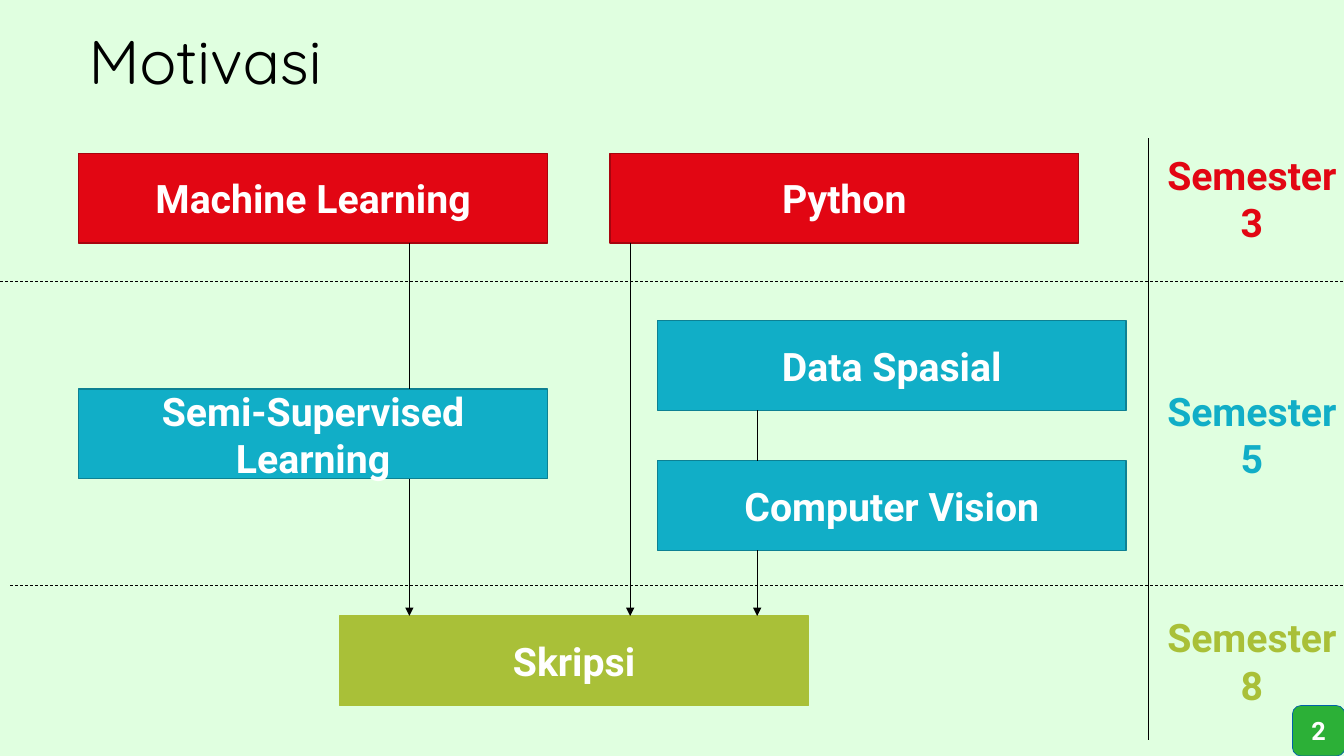
from dataclasses import dataclass

from lxml.etree import SubElement
from pptx import Presentation
from pptx.dml.color import RGBColor
from pptx.enum.dml import MSO_LINE_DASH_STYLE as Dash
from pptx.enum.shapes import MSO_CONNECTOR as Connector, MSO_SHAPE as Shape
from pptx.enum.text import MSO_ANCHOR as Anchor, PP_ALIGN as Align
from pptx.oxml.ns import qn
from pptx.util import Inches, Pt

WIDTH, HEIGHT = Inches(13.33), Inches(7.5)
BOX_WIDTH, BOX_HEIGHT = 34.88, 11.87
LEFT_EDGE, DIVIDER = 5.85, 85.45
SEMESTER_3, SEMESTER_5, THESIS_ROW = 20.27, 51.47, 81.47
SPATIAL_ROW, VISION_ROW = 42.4, 60.93


@dataclass(frozen=True)
class Theme:
    """Colours, fonts and type sizes of the slide."""
    background: str = "E0FFE0"
    ink: str = "000000"
    white: str = "FFFFFF"
    red: tuple = ("E20613", "A7040E")
    teal: tuple = ("11AEC7", "0D8193")
    olive: tuple = ("A9C038", "A9C038")
    badge: tuple = ("2CB037", "0062A9")
    heading_font: str = "Quicksand"
    body_font: str = "Roboto"
    title_size: int = 44
    body_size: int = 28
    badge_size: int = 18
    border: float = 1
    hairline: float = 0.5


THEME = Theme()


def col(share):
    """Turn a percentage of the slide width into a length."""
    return round(WIDTH * share / 100)


def row(share):
    """Turn a percentage of the slide height into a length."""
    return round(HEIGHT * share / 100)


def area(left, top, width, height):
    """Turn four percentages into a left, top, width and height."""
    return col(left), row(top), col(width), row(height)


def write(holder, words, color, size=THEME.body_size, font=THEME.body_font,
          bold=True, align=Align.CENTER):
    """Write one vertically centred paragraph into a shape."""
    frame = holder.text_frame
    frame.word_wrap = True
    frame.vertical_anchor = Anchor.MIDDLE
    frame.text = words
    paragraph = frame.paragraphs[0]
    paragraph.alignment = align
    style = paragraph.runs[0].font
    style.name, style.size, style.bold = font, Pt(size), bold
    style.color.rgb = RGBColor.from_string(color)
    return paragraph


def add_title(slide, words):
    """Add the slide heading."""
    heading = slide.shapes.add_textbox(*area(LEFT_EDGE, -1.07, 86.27, 19.33))
    write(heading, words, THEME.ink, THEME.title_size, THEME.heading_font,
          False, Align.LEFT).line_spacing = 0.9


def add_block(slide, words, place, colors, kind=Shape.RECTANGLE,
              size=THEME.body_size, border=THEME.border):
    """Add a filled, outlined shape with white bold text."""
    block = slide.shapes.add_shape(kind, *area(*place))
    block.shadow.inherit = False
    fill, outline = colors
    block.fill.solid()
    block.fill.fore_color.rgb = RGBColor.from_string(fill)
    block.line.color.rgb = RGBColor.from_string(outline)
    block.line.width = Pt(border)
    write(block, words, THEME.white, size)


def add_semester(slide, number, top, colors):
    """Add a semester label to the right of the divider."""
    label = slide.shapes.add_textbox(*area(DIVIDER, top, 15.38, BOX_HEIGHT))
    write(label, f"Semester {number}", colors[0])


def add_rule(slide, start, end, dashed=False, arrow=False):
    """Add a thin line, optionally dashed or ending in an arrowhead."""
    rule = slide.shapes.add_connector(Connector.STRAIGHT, col(start[0]), row(start[1]),
                                      col(end[0]), row(end[1]))
    rule.line.color.rgb = RGBColor.from_string(THEME.ink)
    rule.line.width = Pt(THEME.hairline)
    if dashed:
        rule.line.dash_style = Dash.DASH
    properties = rule.line._get_or_add_ln()
    if arrow:
        SubElement(properties, qn("a:tailEnd"), type="triangle")
    SubElement(properties.getparent(), qn("a:effectLst"))


def main():
    """Build and save the slide."""
    deck = Presentation()
    deck.slide_width, deck.slide_height = WIDTH, HEIGHT
    slide = deck.slides.add_slide(deck.slide_layouts[6])
    slide.background.fill.solid()
    slide.background.fill.fore_color.rgb = RGBColor.from_string(THEME.background)
    add_title(slide, "Motivasi")

    topics = [
        ("Machine Learning", LEFT_EDGE, SEMESTER_3, THEME.red),
        ("Python", 45.38, SEMESTER_3, THEME.red),
        ("Semi-Supervised Learning", LEFT_EDGE, SEMESTER_5, THEME.teal),
        ("Computer Vision", 48.91, VISION_ROW, THEME.teal),
        ("Data Spasial", 48.91, SPATIAL_ROW, THEME.teal),
        ("Skripsi", 25.28, THESIS_ROW, THEME.olive),
    ]
    for words, left, top, colors in topics:
        add_block(slide, words, (left, top, BOX_WIDTH, BOX_HEIGHT), colors)

    add_rule(slide, (0, 37.2), (100, 37.2), dashed=True)
    add_rule(slide, (DIVIDER, 18.27), (DIVIDER, 97.87))
    add_rule(slide, (0.75, 77.47), (100.83, 77.47), dashed=True)

    semesters = [(3, SEMESTER_3, THEME.red), (5, SEMESTER_5, THEME.teal),
                 (8, THESIS_ROW, THEME.olive)]
    for number, top, colors in semesters:
        add_semester(slide, number, top, colors)

    flows = [
        (46.89, SEMESTER_3, THESIS_ROW),
        (30.46, SEMESTER_5, THESIS_ROW),
        (30.46, SEMESTER_3, SEMESTER_5),
        (56.34, SPATIAL_ROW, VISION_ROW),
        (56.34, VISION_ROW, THESIS_ROW),
    ]
    for across, source, target in flows:
        add_rule(slide, (across, source + BOX_HEIGHT), (across, target),
                 arrow=target == THESIS_ROW)

    add_block(slide, "2", (96.17, 93.33, 3.9, 6.67), THEME.badge,
              Shape.ROUNDED_RECTANGLE, THEME.badge_size, THEME.hairline)
    deck.save("out.pptx")


if __name__ == "__main__":
    main()
